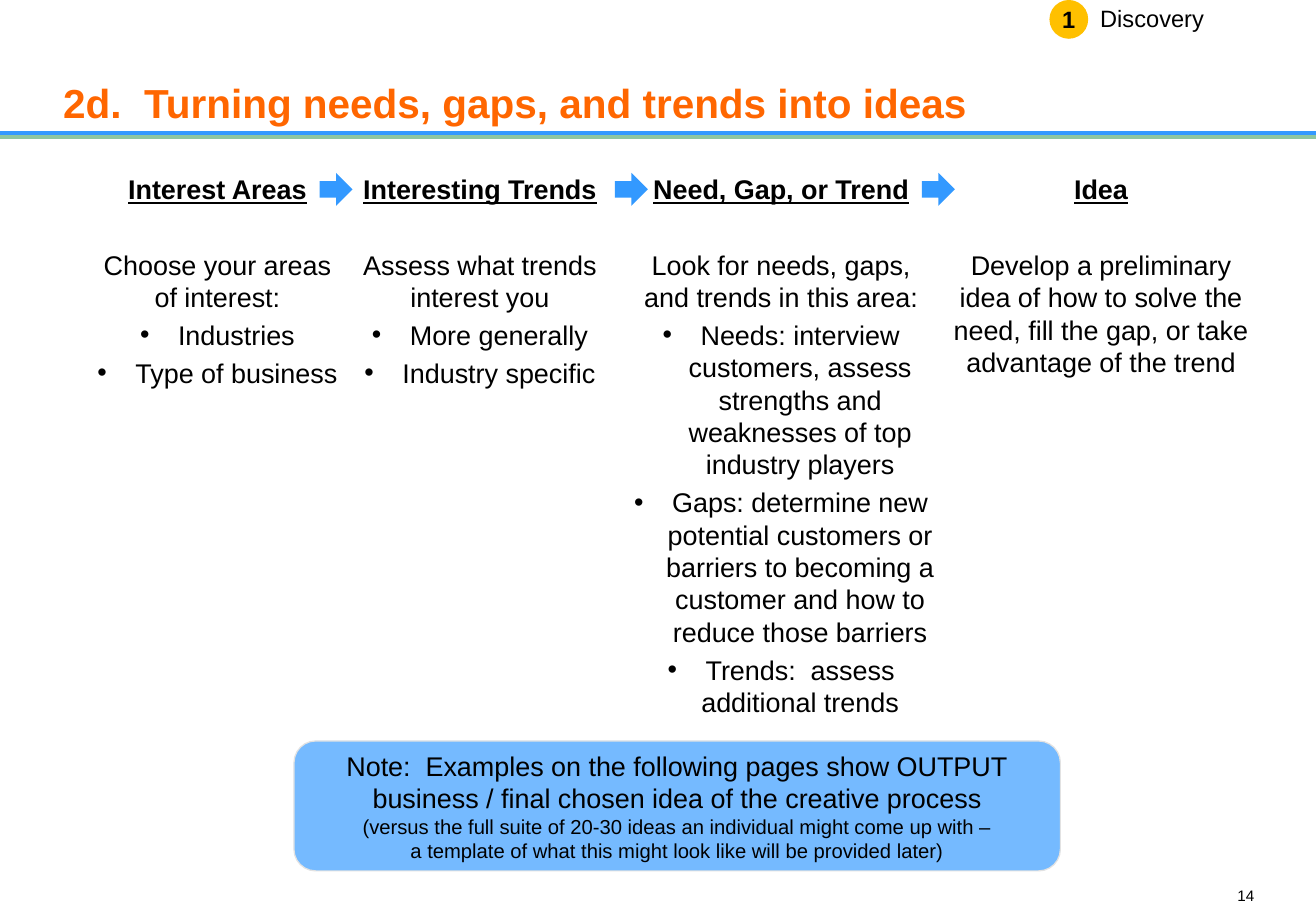
from lxml.etree import SubElement
from pptx import Presentation
from pptx.dml.color import RGBColor
from pptx.enum.shapes import MSO_CONNECTOR as Connector, MSO_SHAPE as Shape
from pptx.enum.text import MSO_ANCHOR as Anchor, PP_ALIGN as Align
from pptx.oxml.ns import qn
from pptx.util import Pt

COLORS = {
    "text": "000000", "title": "FF6600", "blue": "3399FF", "green": "8EC6A1",
    "badge": "FFC000", "note": "75BAFF", "note_line": "E2E2E2",
}
SLIDE_WIDTH, SLIDE_HEIGHT = 780, 540
COLUMN_TOP, COLUMN_HEIGHT = 102.5, 363.5
ARROW_SIZE = 19.5
BULLET_INDENT = 22.5

COLUMNS = [
    (48.25, 161.25, "Interest Areas", "Choose your areas\vof interest:",
     ["Industries", "Type of business"]),
    (204.5, 160, "Interesting Trends", "Assess what trends interest you",
     ["More generally", "Industry specific"]),
    (370, 186, "Need, Gap, or Trend", "Look for needs, gaps,\vand trends in this area:",
     ["Needs: interview customers, assess strengths and weaknesses of top industry players",
      "Gaps: determine new potential customers or barriers to becoming a customer "
      "and how to reduce those barriers",
      "Trends:  assess additional trends"]),
    (562.25, 180.75, "Idea",
     "Develop a preliminary idea of how to solve the need, fill the gap, "
     "or take advantage of the trend", []),
]
ARROW_LEFTS = [189.5, 364.5, 546.5]
NOTE_LINES = [
    ("Note:  Examples on the following pages show OUTPUT", 16),
    ("business / final chosen idea of the creative process", 16),
    ("(versus the full suite of 20-30 ideas an individual might come up with –", 12),
    ("a template of what this might look like will be provided later)", 12),
]


def set_attributes(target, values):
    for name, value in values.items():
        setattr(target, name, value)


class SlideBuilder:
    font_name = "Arial"

    def __init__(self, presentation):
        self.slide = presentation.slides.add_slide(presentation.slide_layouts[6])

    def color(self, name):
        return RGBColor.from_string(COLORS[name])

    def rule(self, top, color, width):
        line = self.slide.shapes.add_connector(
            Connector.STRAIGHT, Pt(0), Pt(top), Pt(SLIDE_WIDTH), Pt(top))
        line.line.color.rgb = self.color(color)
        line.line.width = Pt(width)
        SubElement(line._element.spPr, qn("a:effectLst"))

    def shape(self, kind, box, fill, outline=None):
        shape = self.slide.shapes.add_shape(kind, *map(Pt, box))
        shape.shadow.inherit = False
        shape.fill.solid()
        shape.fill.fore_color.rgb = self.color(fill)
        if outline:
            shape.line.color.rgb = self.color(outline)
            shape.line.width = Pt(0.75)
        else:
            shape.line.fill.background()
        return shape

    def text_box(self, box):
        return self.slide.shapes.add_textbox(*map(Pt, box))

    def frame(self, shape, margin=0, anchor=Anchor.TOP, wrap=True):
        frame = shape.text_frame
        sides = ("left", "top", "right", "bottom")
        set_attributes(frame, {f"margin_{side}": Pt(margin) for side in sides})
        set_attributes(frame, {"word_wrap": wrap, "vertical_anchor": anchor})
        return frame

    def paragraph(self, frame, text, size=16, align=Align.CENTER, before=0,
                  bullet=False, color="text", **font_values):
        first = frame.paragraphs[0]
        paragraph = frame.add_paragraph() if first.runs else first
        set_attributes(paragraph, {"text": text, "alignment": align, "space_before": Pt(before)})
        if bullet:
            properties = paragraph._p.get_or_add_pPr()
            properties.set("marL", str(Pt(BULLET_INDENT)))
            properties.set("indent", str(-Pt(BULLET_INDENT)))
            SubElement(properties, qn("a:buFont"), typeface=self.font_name)
            SubElement(properties, qn("a:buChar"), char="•")
        for run in paragraph.runs:
            set_attributes(run.font, {"name": self.font_name, "size": Pt(size), **font_values})
            run.font.color.rgb = self.color(color)

    def column(self, left, width, heading, introduction, bullets):
        frame = self.frame(self.text_box((left, COLUMN_TOP, width, COLUMN_HEIGHT)))
        self.paragraph(frame, heading, bold=True, underline=True)
        self.paragraph(frame, introduction, before=25.5)
        for bullet in bullets:
            self.paragraph(frame, bullet, before=3.2, bullet=True)


def main():
    presentation = Presentation()
    set_attributes(presentation, {"slide_width": Pt(SLIDE_WIDTH), "slide_height": Pt(SLIDE_HEIGHT)})
    builder = SlideBuilder(presentation)

    builder.rule(81, "green", 2.25)
    builder.rule(79, "blue", 2.25)

    number = builder.frame(builder.text_box((726.5, 525.5, 17, 10)), wrap=False)
    builder.paragraph(number, "14", size=9, align=Align.RIGHT)

    title = builder.frame(builder.text_box((37.5, 13, 705.5, 62)), anchor=Anchor.BOTTOM)
    builder.paragraph(title, "2d.  Turning needs, gaps, and trends into ideas",
                      size=24, align=Align.LEFT, color="title", bold=True)

    badge = builder.shape(Shape.OVAL, (622, 0, 23, 23), "badge")
    badge_frame = builder.frame(badge, anchor=Anchor.MIDDLE, wrap=False)
    builder.paragraph(badge_frame, "1", size=14, bold=True)

    stage = builder.frame(builder.text_box((645, -5, 76.5, 31)), margin=7.2, wrap=False)
    builder.paragraph(stage, "Discovery", size=14, align=Align.LEFT)

    for column in COLUMNS:
        builder.column(*column)
    for left in ARROW_LEFTS:
        builder.shape(Shape.RIGHT_ARROW, (left, COLUMN_TOP, ARROW_SIZE, ARROW_SIZE), "blue")

    note = builder.shape(Shape.ROUNDED_RECTANGLE, (174.25, 439.25, 454.25, 77),
                         "note", "note_line")
    note_frame = builder.frame(note, margin=7.2, anchor=Anchor.MIDDLE)
    for text, size in NOTE_LINES:
        builder.paragraph(note_frame, text, size=size)

    presentation.save("out.pptx")


if __name__ == "__main__":
    main()
